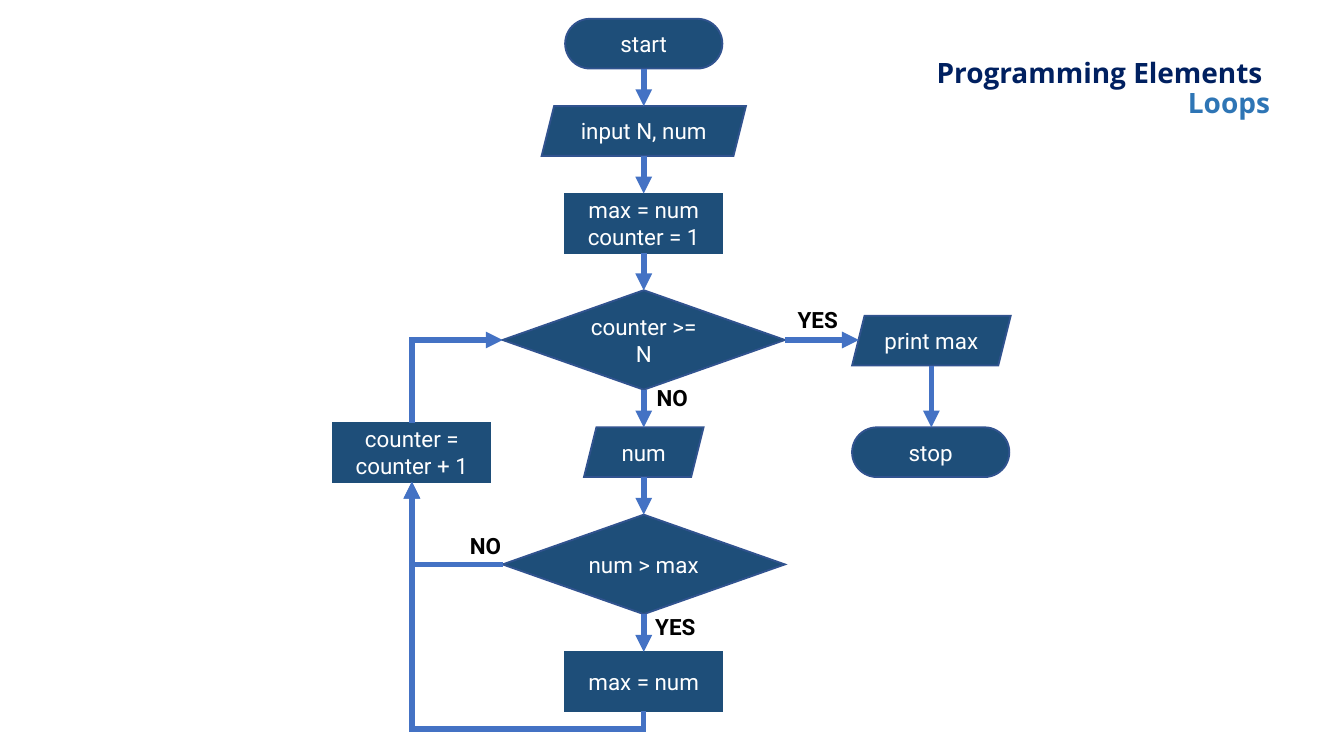
import copy
import dataclasses

import pptx
import pptx.dml.color
import pptx.enum.shapes
import pptx.enum.text
import pptx.oxml
import pptx.oxml.ns
import pptx.util

COLUMNS, ROWS = 1000, 562.5
SLIDE_WIDTH = pptx.util.Inches(10)
SLIDE_HEIGHT = pptx.util.Emu(SLIDE_WIDTH * 9 // 16)

NODE_FILL = pptx.dml.color.RGBColor(0x1E, 0x4E, 0x79)
NODE_EDGE = pptx.dml.color.RGBColor(0x31, 0x53, 0x8F)
ARROW = pptx.dml.color.RGBColor(0x44, 0x72, 0xC4)
NAVY = pptx.dml.color.RGBColor(0x00, 0x20, 0x60)
BLUE = pptx.dml.color.RGBColor(0x2E, 0x75, 0xB5)
WHITE = pptx.dml.color.RGBColor(0xFF, 0xFF, 0xFF)
BLACK = pptx.dml.color.RGBColor(0x00, 0x00, 0x00)

SHAPE = pptx.enum.shapes.MSO_SHAPE
LINK = pptx.enum.shapes.MSO_CONNECTOR
ALIGN = pptx.enum.text.PP_ALIGN
ANCHOR = pptx.enum.text.MSO_ANCHOR

TERMINAL_ROWS, PROCESS_ROWS, DECISION_ROWS, GAP_ROWS = 37, 44, 74, 28
NODE_COLUMNS, DECISION_COLUMNS = 117, 210


@dataclasses.dataclass
class Box:
    """A rectangle on the slide grid, in columns and rows."""
    left: float
    top: float
    width: float
    height: float

    @property
    def right(self):
        return self.left + self.width

    @property
    def bottom(self):
        return self.top + self.height

    @property
    def center(self):
        return self.left + self.width / 2

    @property
    def middle(self):
        return self.top + self.height / 2

    def lengths(self):
        """Return left, top, width and height as slide lengths."""
        return (across(self.left), down(self.top),
                across(self.width), down(self.height))


def across(columns):
    """Turn grid columns into a length."""
    return round(SLIDE_WIDTH * columns / COLUMNS)


def down(rows):
    """Turn grid rows into a length."""
    return round(SLIDE_HEIGHT * rows / ROWS)


def element(tag, attributes=""):
    """Make one empty drawing element."""
    return pptx.oxml.parse_xml(f'<a:{tag} {pptx.oxml.ns.nsdecls("a")} {attributes}/>')


def draw_outline(shape, color, points):
    """Give a shape or connector a sharp-cornered line and return its XML."""
    shape.line.color.rgb = color
    shape.line.width = pptx.util.Pt(points)
    outline = shape._element.spPr.find(pptx.oxml.ns.qn("a:ln"))
    outline.append(element("miter", 'lim="800000"'))
    return outline


def write_text(shape, text, *, font="Roboto", size=12, color=WHITE, bold=False,
               align=ALIGN.CENTER, anchor=ANCHOR.MIDDLE, inset=(7, 4), spacing=None):
    """Fill a shape with formatted text."""
    frame = shape.text_frame
    frame.text = text
    frame.word_wrap = True
    frame.auto_size = pptx.enum.text.MSO_AUTO_SIZE.NONE
    frame.vertical_anchor = anchor
    frame.margin_left = frame.margin_right = across(inset[0])
    frame.margin_top = frame.margin_bottom = down(inset[1])
    for paragraph in frame.paragraphs:
        paragraph.alignment = align
        paragraph.line_spacing = spacing
        for run in paragraph.runs:
            run.font.name = font
            run.font.size = pptx.util.Pt(size)
            run.font.bold = bold
            run.font.color.rgb = color
        for line_break in paragraph._p.findall(pptx.oxml.ns.qn("a:br")):
            line_break.append(copy.deepcopy(paragraph.runs[0]._r.rPr))


def add_node(slide, box, kind, text):
    """Draw one flowchart node and return its box."""
    node = slide.shapes.add_shape(kind, *box.lengths())
    node.fill.solid()
    node.fill.fore_color.rgb = NODE_FILL
    draw_outline(node, NODE_FILL if kind == SHAPE.RECTANGLE else NODE_EDGE, 1)
    node.shadow.inherit = False
    if kind == SHAPE.ROUNDED_RECTANGLE:
        node.adjustments[0] = 0.5
    write_text(node, text)
    return box


def add_label(slide, left, top, text):
    """Write a branch answer beside its arrow."""
    box = Box(left, top, 48 if text == "YES" else 41, 28)
    label = slide.shapes.add_textbox(*box.lengths())
    write_text(label, text, color=BLACK, bold=True, align=ALIGN.LEFT, anchor=ANCHOR.TOP)


def add_arrow(slide, start, end, kind=LINK.STRAIGHT):
    """Draw a connector with an arrowhead between two grid points."""
    arrow = slide.shapes.add_connector(kind, across(start[0]), down(start[1]),
                                       across(end[0]), down(end[1]))
    draw_outline(arrow, ARROW, 3).append(element("tailEnd", 'type="triangle"'))
    arrow._element.spPr.append(element("effectLst"))
    return arrow


def add_elbow(slide, start, end, turn, preset="bentConnector2", bend=None):
    """Draw a bent arrow turned by a multiple of 90 degrees."""
    arrow = add_arrow(slide, start, end, LINK.ELBOW)
    width, height = across(abs(end[0] - start[0])), down(abs(end[1] - start[1]))
    if turn % 180:
        width, height = height, width
    arrow.left = across((start[0] + end[0]) / 2) - width // 2
    arrow.top = down((start[1] + end[1]) / 2) - height // 2
    arrow.width, arrow.height = width, height
    frame = arrow._element.spPr.find(pptx.oxml.ns.qn("a:xfrm"))
    for flip in ("flipH", "flipV"):
        frame.attrib.pop(flip, None)
    frame.set("rot", str(turn * 60000))
    geometry = arrow._element.spPr.find(pptx.oxml.ns.qn("a:prstGeom"))
    geometry.set("prst", preset)
    if bend is not None:
        frame.set("flipH", "1")
        geometry.get_or_add_avLst().append(
            element("gd", f'name="adj1" fmla="val {round(bend * 100000)}"'))


def place_title(slide, box):
    """Place the two-line heading."""
    title = slide.shapes.title
    title.left, title.top, title.width, title.height = box.lengths()
    write_text(title, "Programming Elements \vLoops", font="Open Sans", size=15,
               color=NAVY, bold=True, align=ALIGN.RIGHT, inset=(0, 0), spacing=0.9)
    title.text_frame.paragraphs[0].runs[-1].font.color.rgb = BLUE


def place_main_flow(slide, box):
    """Stack the main steps with equal gaps and return their boxes."""
    steps = [
        (SHAPE.ROUNDED_RECTANGLE, NODE_COLUMNS, TERMINAL_ROWS, "start"),
        (SHAPE.PARALLELOGRAM, 152, TERMINAL_ROWS, "input N, num"),
        (SHAPE.RECTANGLE, NODE_COLUMNS, PROCESS_ROWS, "max = num\ncounter = 1"),
        (SHAPE.DIAMOND, DECISION_COLUMNS, DECISION_ROWS, "counter >= N"),
        (SHAPE.PARALLELOGRAM, 89, TERMINAL_ROWS, "num"),
        (SHAPE.DIAMOND, DECISION_COLUMNS, DECISION_ROWS, "num > max"),
        (SHAPE.RECTANGLE, NODE_COLUMNS, PROCESS_ROWS, "max = num"),
    ]
    nodes, top = [], box.top
    for kind, width, height, text in steps:
        step = Box(box.center - width / 2, top, width, height)
        nodes.append(add_node(slide, step, kind, text))
        top = step.bottom + GAP_ROWS
    for upper, lower in zip(nodes, nodes[1:]):
        add_arrow(slide, (box.center, upper.bottom), (box.center, lower.top))
    add_label(slide, box.center + 2.5, nodes[3].bottom - 8, "NO")
    add_label(slide, box.center + 1.5, nodes[5].bottom - 5, "YES")
    return nodes


def place_output(slide, box, finished):
    """Place the branch that prints the result and stops."""
    output = add_node(slide, Box(box.left, box.top, box.width, TERMINAL_ROWS),
                      SHAPE.PARALLELOGRAM, "print max")
    stop = add_node(slide, Box(box.left, box.bottom - TERMINAL_ROWS, NODE_COLUMNS, TERMINAL_ROWS),
                    SHAPE.ROUNDED_RECTANGLE, "stop")
    add_arrow(slide, (finished.right, finished.middle), (output.left + 5, finished.middle))
    add_arrow(slide, (output.center, output.bottom), (output.center, stop.top))
    add_label(slide, finished.right + 2.5, finished.top + 8, "YES")


def place_counter_loop(slide, box, finished, larger, update):
    """Place the counter step and the arrows that close the loop."""
    counter = add_node(slide, box, SHAPE.RECTANGLE, "counter = counter + 1")
    entry = (counter.center, counter.bottom)
    add_elbow(slide, (larger.left, larger.middle), entry, 180)
    add_elbow(slide, (update.center, update.bottom), entry, 90, "bentConnector3", -0.08)
    add_elbow(slide, (counter.center, counter.top), (finished.left, finished.middle), 270)
    add_label(slide, larger.left - 31.5, larger.top + 9, "NO")


def main():
    """Build and save the slide."""
    deck = pptx.Presentation()
    deck.slide_width, deck.slide_height = SLIDE_WIDTH, SLIDE_HEIGHT
    slide = deck.slides.add_slide(deck.slide_layouts[5])
    nodes = place_main_flow(slide, Box(374, 14, DECISION_COLUMNS, 515))
    finished, larger, update = nodes[3], nodes[5], nodes[6]
    place_output(slide, Box(634, 235, 118, 120), finished)
    place_counter_loop(slide, Box(248, 314.5, NODE_COLUMNS, PROCESS_ROWS),
                       finished, larger, update)
    place_title(slide, Box(390, 30, 555, 73))
    deck.save("out.pptx")


if __name__ == "__main__":
    main()
